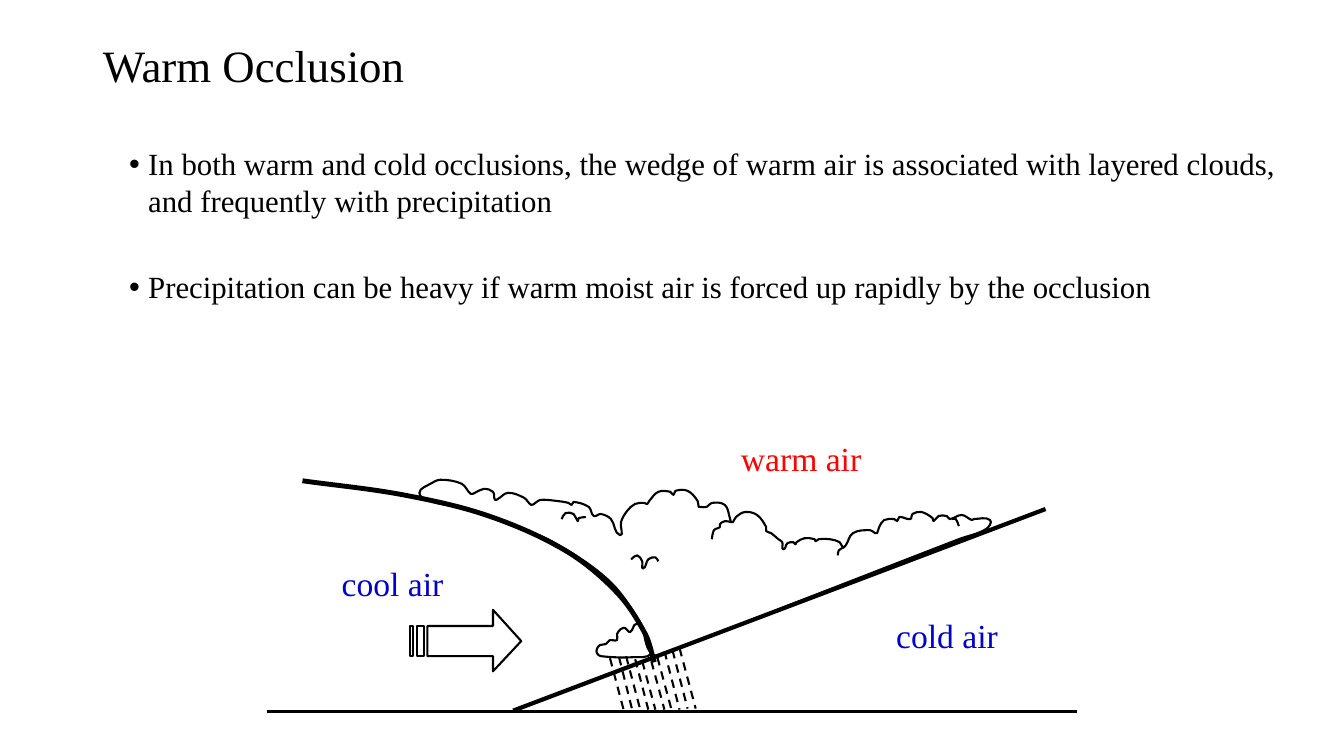
from math import hypot

from lxml import etree
from pptx import Presentation
from pptx.dml.color import RGBColor
from pptx.enum.dml import MSO_LINE
from pptx.enum.shapes import MSO_CONNECTOR
from pptx.enum.text import MSO_ANCHOR, MSO_AUTO_SIZE, PP_ALIGN
from pptx.oxml.ns import qn
from pptx.util import Inches, Pt

STRAIGHT = MSO_CONNECTOR.STRAIGHT
DASH = MSO_LINE.DASH
MIDDLE, TOP = MSO_ANCHOR.MIDDLE, MSO_ANCHOR.TOP
LEFT = PP_ALIGN.LEFT
NO_FIT, GROW = MSO_AUTO_SIZE.NONE, MSO_AUTO_SIZE.SHAPE_TO_FIT_TEXT

BLACK = RGBColor(0, 0, 0)
WHITE = RGBColor(0xFF, 0xFF, 0xFF)
RED = RGBColor(0xFF, 0, 0)
BLUE = RGBColor(0, 0, 0xCC)
FONT = "Times New Roman"

TITLE = "Warm Occlusion"
BULLETS = [
    "In both warm and cold occlusions, the wedge of warm air is associated "
    "with layered clouds, and frequently with precipitation",
    "Precipitation can be heavy if warm moist air is forced up rapidly by the occlusion",
]
# text, left, top, width, colour
LABELS = [
    ("cold air", 8.79, 6.05, 1.22, BLUE),
    ("warm air", 7.25, 4.3, 1.41, RED),
    ("cool air", 3.29, 5.54, 1.22, BLUE),
]
# All points below are in inches on the slide.
LOW_CLOUD = [
    (5.96, 6.51), (6.28, 6.52), (6.46, 6.48), (6.42, 6.25), (6.31, 6.19), (6.25, 6.27),
    (6.2, 6.23), (6.16, 6.24), (6.12, 6.29), (6.12, 6.35), (6.05, 6.35),
    (6.01, 6.39), (5.95, 6.4), (5.92, 6.44), (5.92, 6.48),
]
LAYERED_CLOUD = [
    (7.27, 5.18), (7.25, 5.18), (7.24, 5.14), (7.19, 5.01), (7.06, 4.99), (7.01, 5.03),
    (6.95, 5.03), (6.93, 5.03), (6.92, 4.97), (6.82, 4.87), (6.7, 4.87), (6.68, 4.91),
    (6.65, 4.88), (6.53, 4.88), (6.44, 4.97), (6.42, 5), (6.39, 4.99), (6.3, 5),
    (6.22, 5.07), (6.16, 5.18), (6.15, 5.31), (6.06, 5.15), (5.96, 5.1), (5.89, 5.12),
    (5.84, 5.03), (5.69, 4.98), (5.67, 5.01), (5.64, 4.99), (5.52, 4.97), (5.36, 4.96),
    (5.31, 4.99), (5.27, 5.01), (5.2, 4.94), (5.04, 4.89), (4.94, 4.95), (4.91, 4.96),
    (4.89, 4.88), (4.8, 4.85), (4.71, 4.89), (4.67, 4.9), (4.58, 4.8), (4.37, 4.76),
    (4.27, 4.8), (4.16, 4.89), (4.26, 4.97), (4.62, 5.05), (5.04, 5.2), (5.49, 5.38),
    (6.04, 5.76), (6.35, 6.18), (6.47, 6.49), (6.68, 6.45), (7.94, 5.96), (9.51, 5.35),
    (9.78, 5.25), (9.82, 5.16), (9.66, 5.15), (9.64, 5.16), (9.54, 5.11), (9.42, 5.15),
    (9.39, 5.12), (9.31, 5.12), (9.26, 5.17), (9.25, 5.14), (9.14, 5.08), (9.05, 5.1),
    (9.03, 5.15), (8.92, 5.13), (8.9, 5.17), (8.87, 5.15), (8.77, 5.16), (8.72, 5.23),
    (8.7, 5.29), (8.68, 5.29), (8.63, 5.26), (8.46, 5.29), (8.39, 5.41), (8.36, 5.43),
    (8.33, 5.38), (8.23, 5.35), (8.12, 5.35), (8.09, 5.37), (8.08, 5.35), (7.98, 5.34),
    (7.9, 5.38), (7.89, 5.4), (7.87, 5.38), (7.81, 5.39), (7.77, 5.45), (7.76, 5.38),
    (7.72, 5.35), (7.65, 5.29), (7.6, 5.27), (7.6, 5.23), (7.51, 5.11), (7.39, 5.08),
    (7.3, 5.13),
]
COLD_FRONT = [
    (3, 4.77), (4, 4.91), (4.85, 5.12), (5.62, 5.47), (6.12, 5.88), (6.4, 6.29), (6.49, 6.57),
]
CLOUD_FOLDS = [
    [(7.06, 5.35), (7.08, 5.26), (7.12, 5.24), (7.14, 5.23), (7.14, 5.2), (7.19, 5.17),
     (7.25, 5.18)],
    [(8.37, 5.43), (8.32, 5.46), (8.31, 5.51)],
    [(9.51, 5.22), (9.48, 5.15), (9.44, 5.15)],
    [(5.81, 5.13), (5.74, 5.14), (5.73, 5.17), (5.69, 5.1), (5.61, 5.09), (5.57, 5.15)],
    [(6.26, 5.55), (6.32, 5.51), (6.37, 5.57), (6.38, 5.64), (6.43, 5.55), (6.5, 5.53),
     (6.53, 5.57)],
]
ARROW_TOP, ARROW_BOTTOM = 6.21, 6.51
ARROW_HEAD = [
    (4.89, 6.05), (4.89, ARROW_TOP), (4.24, ARROW_TOP), (4.24, ARROW_BOTTOM),
    (4.89, ARROW_BOTTOM), (4.89, 6.66), (5.17, 6.36),
]
ARROW_BARS = [(4.14, 4.21), (4.07, 4.1)]  # left, right
GROUND = (2.65, 7.06, 10.68, 7.06)
WARM_FRONT = (5.09, 7.05, 10.37, 5.05)
RAIN = [
    (6.14, 6.52, 6.27, 7.04), (6.74, 6.43, 6.9, 7.03), (6.3, 6.54, 6.43, 7.04),
    (6.21, 6.51, 6.35, 7.04), (6.46, 6.56, 6.59, 7.04), (6.37, 6.56, 6.5, 7.04),
    (6.59, 6.46, 6.74, 7.04), (6.52, 6.52, 6.66, 7.04), (6.67, 6.45, 6.82, 7.03),
    (6.05, 6.53, 6.19, 7.06),
]


def smooth(outline, closed):
    """Turn the straight segments of a one-contour outline into cubic curves."""
    element = outline._element
    points = [(int(pt.get("x")), int(pt.get("y"))) for pt in element.iter(qn("a:pt"))]
    last = len(points) - 1

    def handle(index, length):
        before, after = max(index - 1, 0), min(index + 1, last)
        if closed and index in (0, last):
            before, after = last - 1, 1
        dx = points[after][0] - points[before][0]
        dy = points[after][1] - points[before][1]
        scale = length / 3 / (hypot(dx, dy) or 1)
        return dx * scale, dy * scale

    for index, segment in enumerate(list(element.iter(qn("a:lnTo")))):
        (x1, y1), (x2, y2) = points[index:index + 2]
        length = hypot(x2 - x1, y2 - y1)
        (dx1, dy1), (dx2, dy2) = handle(index, length), handle(index + 1, length)
        segment.tag = qn("a:cubicBezTo")
        for place_in, (x, y) in enumerate([(x1 + dx1, y1 + dy1), (x2 - dx2, y2 - dy2)]):
            control = etree.Element(qn("a:pt"), x=str(round(x)), y=str(round(y)))
            segment.insert(place_in, control)


def add_outline(shapes, contours, width=1.5, closed=False, fill=None, curved=True):
    builder = None
    for contour in contours:
        corners = [(Inches(x), Inches(y)) for x, y in contour]
        if builder is None:
            builder = shapes.build_freeform(*corners[0])
        else:
            builder.move_to(*corners[0])
        ending = corners[:1] if closed else []
        builder.add_line_segments(corners[1:] + ending, close=closed)
    outline = builder.convert_to_shape()
    if curved:
        smooth(outline, closed)
    outline.shadow.inherit = False
    if fill is None:
        outline.fill.background()
    else:
        outline.fill.solid()
        outline.fill.fore_color.rgb = fill
    outline.line.color.rgb = BLACK
    outline.line.width = Pt(width)


def add_line(shapes, ends, width, dash=None):
    line = shapes.add_connector(STRAIGHT, *map(Inches, ends))
    line.line.color.rgb = BLACK
    line.line.width = Pt(width)
    if dash:
        line.line.dash_style = dash
    etree.SubElement(line._element.spPr, qn("a:effectLst"))


def set_font(para, size, color):
    para.font.name, para.font.size = FONT, Pt(size)
    para.font.color.rgb = color


def fill_placeholder(shape, text, area, anchor):
    shape.left, shape.top, shape.width, shape.height = map(Inches, area)
    frame = shape.text_frame
    frame.text = text
    frame.vertical_anchor = anchor
    frame.auto_size = NO_FIT
    return frame.paragraphs


def add_text(slide):
    [heading] = fill_placeholder(slide.shapes.title, TITLE, (0.92, 0.15, 11.5, 1.04), MIDDLE)
    heading.alignment = LEFT
    heading.line_spacing = 0.9
    set_font(heading, 32, BLACK)
    items = fill_placeholder(slide.placeholders[1], "\n".join(BULLETS),
                             (1.18, 1.39, 11.95, 2.24), TOP)
    for index, para in enumerate(items):
        para.space_before = Pt(35 if index else 0)
        properties = para._p.get_or_add_pPr()
        properties.set("marL", str(Inches(0.19)))
        properties.set("indent", str(-Inches(0.19)))
        etree.SubElement(properties, qn("a:buFont"), typeface="Arial")
        etree.SubElement(properties, qn("a:buChar"), char="•")
        set_font(para, 22, BLACK)


def add_diagram(shapes):
    for cloud in (LOW_CLOUD, LAYERED_CLOUD):
        add_outline(shapes, [cloud], closed=True, fill=WHITE)
    add_line(shapes, GROUND, 2.25)
    bars = [[(left, ARROW_TOP), (left, ARROW_BOTTOM), (right, ARROW_BOTTOM), (right, ARROW_TOP)]
            for left, right in ARROW_BARS]
    add_outline(shapes, [ARROW_HEAD] + bars, closed=True, curved=False)
    add_outline(shapes, [COLD_FRONT], width=3.5)
    add_line(shapes, WARM_FRONT, 3)
    for text, left, top, width, color in LABELS:
        frame = shapes.add_textbox(*map(Inches, (left, top, width, 0.5))).text_frame
        frame.text = text
        frame.word_wrap = False
        frame.auto_size = GROW
        set_font(frame.paragraphs[0], 24, color)
    for fold in CLOUD_FOLDS:
        add_outline(shapes, [fold])
    for streak in RAIN:
        add_line(shapes, streak, 1.5, DASH)


deck = Presentation()
deck.slide_width, deck.slide_height = Inches(13.33), Inches(7.5)
slide = deck.slides.add_slide(deck.slide_layouts[1])
add_text(slide)
add_diagram(slide.shapes.add_group_shape().shapes)
deck.save("out.pptx")
